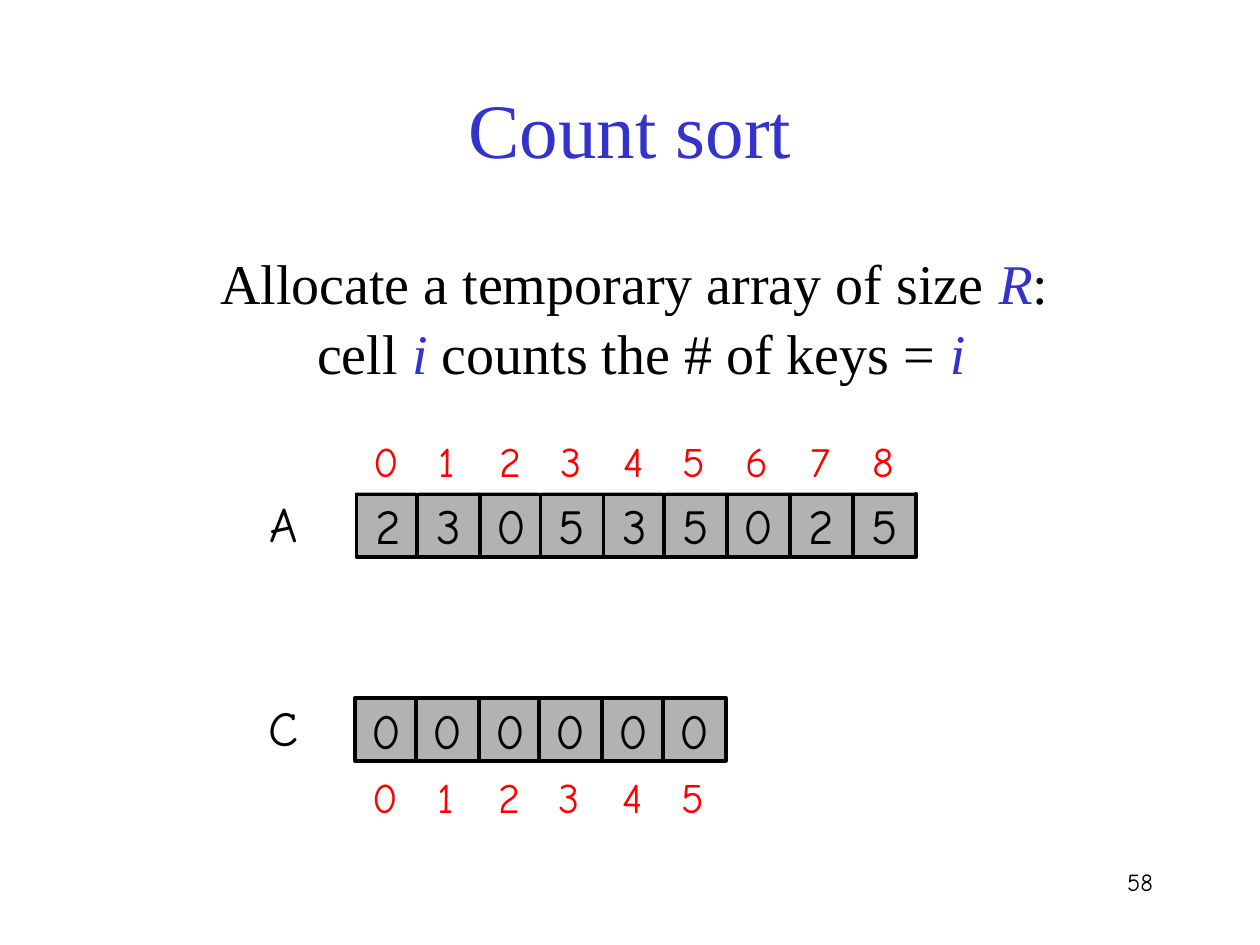
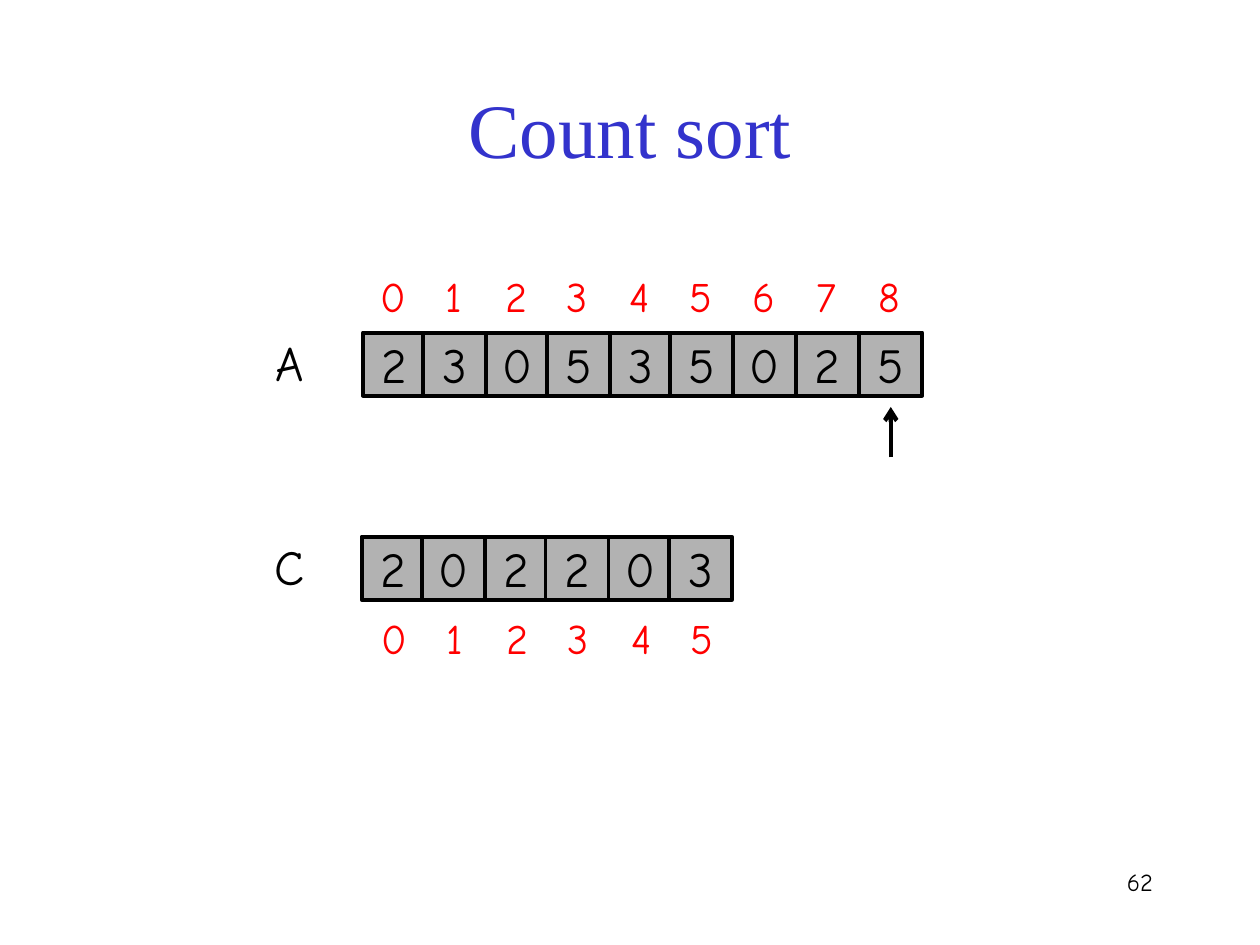
from lxml import etree
from pptx import Presentation
from pptx import util as u
from pptx.dml.color import RGBColor
from pptx.enum import shapes, text
from pptx.oxml.ns import qn

PX = 9144  # EMU in one px, 100 px to the inch
COLORS = {"ink": "000000", "accent": "3333CC", "index": "FF0000",
          "cell": "B2B2B2", "paper": "FFFFFF"}
SERIF, HAND = "Times New Roman", "Comic Neue"
CELL = 50
COLUMNS = [0, 48, 98, 146, 196, 244, 294, 344, 394]
ALIGN, ANCHOR = text.PP_ALIGN, text.MSO_ANCHOR


def rgb(name):
    return RGBColor.from_string(COLORS[name])


def write(frame, words, size=28, font=HAND, color="ink", align=ALIGN.CENTER,
          anchor=ANCHOR.TOP, wrap=True, fit=text.MSO_AUTO_SIZE.NONE):
    """Fill a text frame; *starred* parts become accented italics."""
    frame.word_wrap = wrap
    frame.auto_size = fit
    frame.vertical_anchor = anchor
    paragraph = frame.paragraphs[0]
    paragraph.alignment = align
    paragraph.space_before = u.Pt(0)
    for row, line in enumerate(words.split("\n")):
        if row:
            paragraph.add_line_break()
        for turn, part in enumerate(line.split("*")):
            if not part:
                continue
            run = paragraph.add_run()
            run.text = part
            run.font.size = u.Pt(size)
            run.font.name = font
            run.font.italic = turn % 2 == 1
            run.font.color.rgb = rgb("accent" if turn % 2 else color)
    return paragraph


class Deck:
    def __init__(self):
        self.file = Presentation()
        self.file.slide_width, self.file.slide_height = 1000 * PX, 750 * PX
        self.slide = None

    def place(self, holder, *bounds):
        holder.left, holder.top, holder.width, holder.height = (
            length * PX for length in bounds)

    def new_slide(self, title, number, layout):
        self.slide = self.file.slides.add_slide(self.file.slide_layouts[layout])
        heading = self.slide.shapes.title
        self.place(heading, 0, 59, 1000, 84)
        write(heading.text_frame, title, size=44, font=SERIF, color="accent",
              anchor=ANCHOR.MIDDLE)
        self.label(number, 717, 683, 208, 50, size=14, align=ALIGN.RIGHT)

    def body(self, words, *bounds):
        holder = self.slide.placeholders[1]
        self.place(holder, *bounds)
        paragraph = write(holder.text_frame, words, size=32, font=SERIF)
        paragraph.line_spacing = 1.04
        props = paragraph._p.get_or_add_pPr()
        props.set("marL", "0")
        props.set("indent", "0")
        etree.SubElement(props, qn("a:buNone"))

    def label(self, words, x, y, width, height, **style):
        box = self.slide.shapes.add_textbox(x * PX, y * PX, width * PX, height * PX)
        write(box.text_frame, words, **style)

    def square(self, parent, words, x, y, fill, outlined, **style):
        box = parent.add_shape(shapes.MSO_SHAPE.RECTANGLE,
                               x * PX, y * PX, CELL * PX, CELL * PX)
        box.shadow.inherit = False
        box.fill.solid()
        box.fill.fore_color.rgb = rgb(fill)
        if outlined:
            box.line.color.rgb = rgb("ink")
            box.line.width = u.Pt(2.25)
        else:
            box.line.fill.background()
        write(box.text_frame, words, anchor=ANCHOR.MIDDLE, wrap=False, **style)

    def array(self, name, values, x, y, index_x, index_y):
        """Draw a named row of cells and its row of indices."""
        for step, value in zip(COLUMNS, values):
            self.square(self.slide.shapes, value, x + step, y, "cell", True)
        self.label(name, x - 79, y - 5, 52, 57, align=ALIGN.LEFT,
                   fit=text.MSO_AUTO_SIZE.SHAPE_TO_FIT_TEXT)
        indices = self.slide.shapes.add_group_shape().shapes
        for index, step in enumerate(COLUMNS[:len(values)]):
            self.square(indices, str(index), index_x + step, index_y, "paper",
                        False, size=24, color="index")

    def arrow(self, x1, y1, x2, y2):
        line = self.slide.shapes.add_connector(
            shapes.MSO_CONNECTOR.STRAIGHT, x1 * PX, y1 * PX, x2 * PX, y2 * PX)
        line.line.color.rgb = rgb("ink")
        line.line.width = u.Pt(2.5)
        etree.SubElement(line.line._get_or_add_ln(), qn("a:tailEnd"), type="arrow")
        etree.SubElement(line._element.spPr, qn("a:effectLst"))


def main():
    deck = Deck()
    keys = "230535025"

    # Empty counters
    deck.new_slide("Count sort", "58", layout=1)
    deck.body("Allocate a temporary array of size *R*: \n"
              "cell *i* counts the # of keys = *i*", 75, 190, 868, 132)
    deck.array("A", keys, 283, 392, 282, 341)
    deck.array("C", "000000", 282, 554, 281, 607)

    # Counters after the last key
    deck.new_slide("Count sort", "62", layout=5)
    deck.array("A", keys, 288, 264, 287, 210)
    deck.arrow(707, 363, 707, 323)
    deck.array("C", "202203", 287, 426, 288, 481)

    deck.file.save("out.pptx")


if __name__ == "__main__":
    main()
